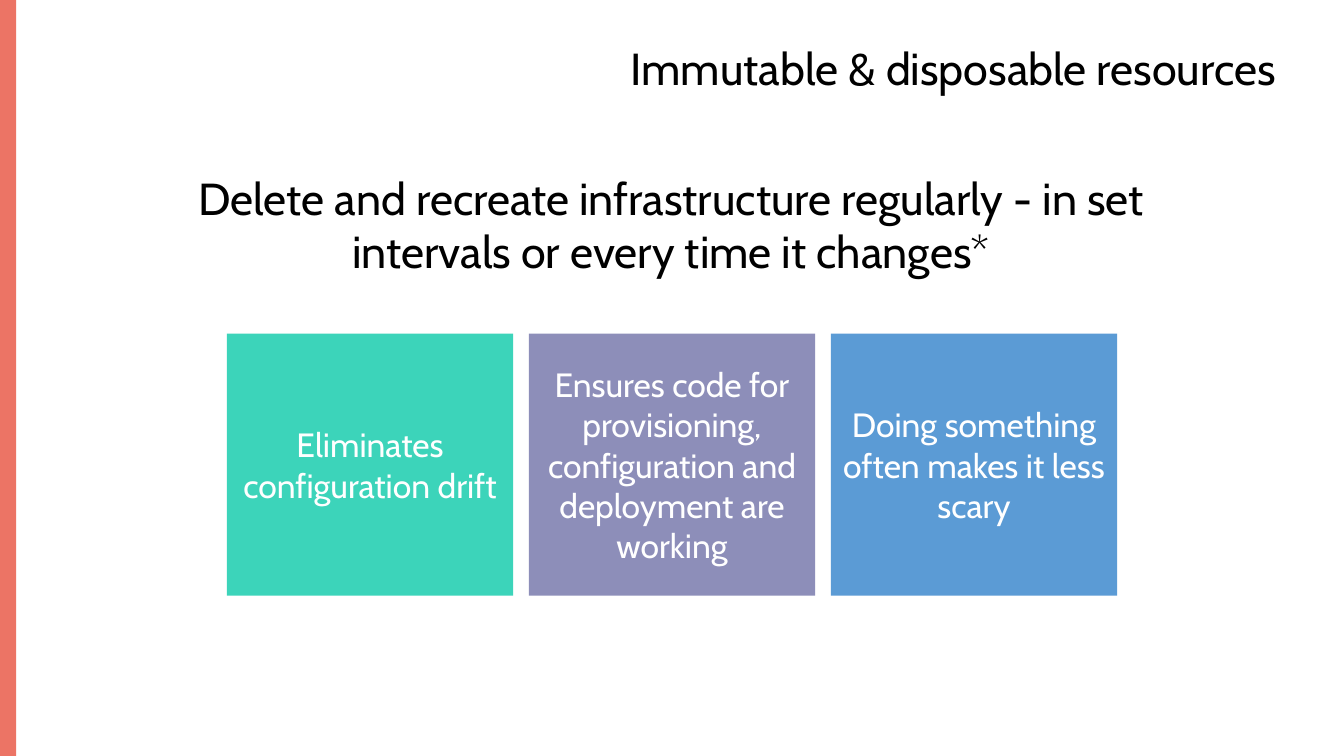
from pptx import Presentation
from pptx.dml.color import RGBColor
from pptx.enum.shapes import MSO_SHAPE
from pptx.enum.text import MSO_ANCHOR, MSO_AUTO_SIZE, PP_ALIGN
from pptx.util import Inches, Pt

RECTANGLE = MSO_SHAPE.RECTANGLE
TOP, MIDDLE = MSO_ANCHOR.TOP, MSO_ANCHOR.MIDDLE
CENTER, RIGHT = PP_ALIGN.CENTER, PP_ALIGN.RIGHT
NO_AUTOFIT = MSO_AUTO_SIZE.NONE

TITLE_ONLY = 5
FONT = "Cabin"
BLACK, WHITE, CORAL = "000000", "FFFFFF", "EC7465"

# Row of cards: equal widths on an even pitch
CARD_LEFT, CARD_TOP = 2.25, 3.31
CARD_WIDTH, CARD_HEIGHT = 2.84, 2.6
CARD_PITCH = 2.995
CARDS = [
    ("Eliminates configuration drift", "3CD4BA"),
    ("Ensures code for provisioning, configuration and deployment are working", "8D8EB9"),
    ("Doing something often makes it less scary", "5B9BD5"),
]


def add_rectangle(left, top, width, height, color):
    shape = slide.shapes.add_shape(
        RECTANGLE, Inches(left), Inches(top), Inches(width), Inches(height))
    shape.shadow.inherit = False
    shape.fill.solid()
    shape.fill.fore_color.rgb = RGBColor.from_string(color)
    shape.line.fill.background()
    return shape


def write_text(shape, text, size, color, alignment, anchor):
    frame = shape.text_frame
    frame.word_wrap = True
    frame.auto_size = NO_AUTOFIT
    frame.vertical_anchor = anchor
    paragraph = frame.paragraphs[0]
    paragraph.alignment = alignment
    run = paragraph.add_run()
    run.text = text
    run.font.name = FONT
    run.font.size = Pt(size)
    run.font.color.rgb = RGBColor.from_string(color)


presentation = Presentation()
presentation.slide_width = Inches(13.33)
presentation.slide_height = Inches(7.5)
slide = presentation.slides.add_slide(presentation.slide_layouts[TITLE_ONLY])

# Accent bar along the left edge
add_rectangle(0, 0, 0.16, 7.5, CORAL)

# Title
title = slide.shapes.title
title.left, title.top = Inches(3.73), Inches(0.35)
title.width, title.height = Inches(9.03), Inches(0.64)
write_text(title, "Immutable & disposable resources", 32, BLACK, RIGHT, TOP)

# Main statement
statement = slide.shapes.add_textbox(
    Inches(1.77), Inches(1.64), Inches(9.78), Inches(1.18))
write_text(
    statement,
    "Delete and recreate infrastructure regularly - in set intervals or every time it changes*",
    32, BLACK, CENTER, TOP)

# Benefit cards
for column, (benefit, color) in enumerate(CARDS):
    card = add_rectangle(
        CARD_LEFT + column * CARD_PITCH, CARD_TOP, CARD_WIDTH, CARD_HEIGHT, color)
    write_text(card, benefit, 24, WHITE, CENTER, MIDDLE)

presentation.save("out.pptx")
